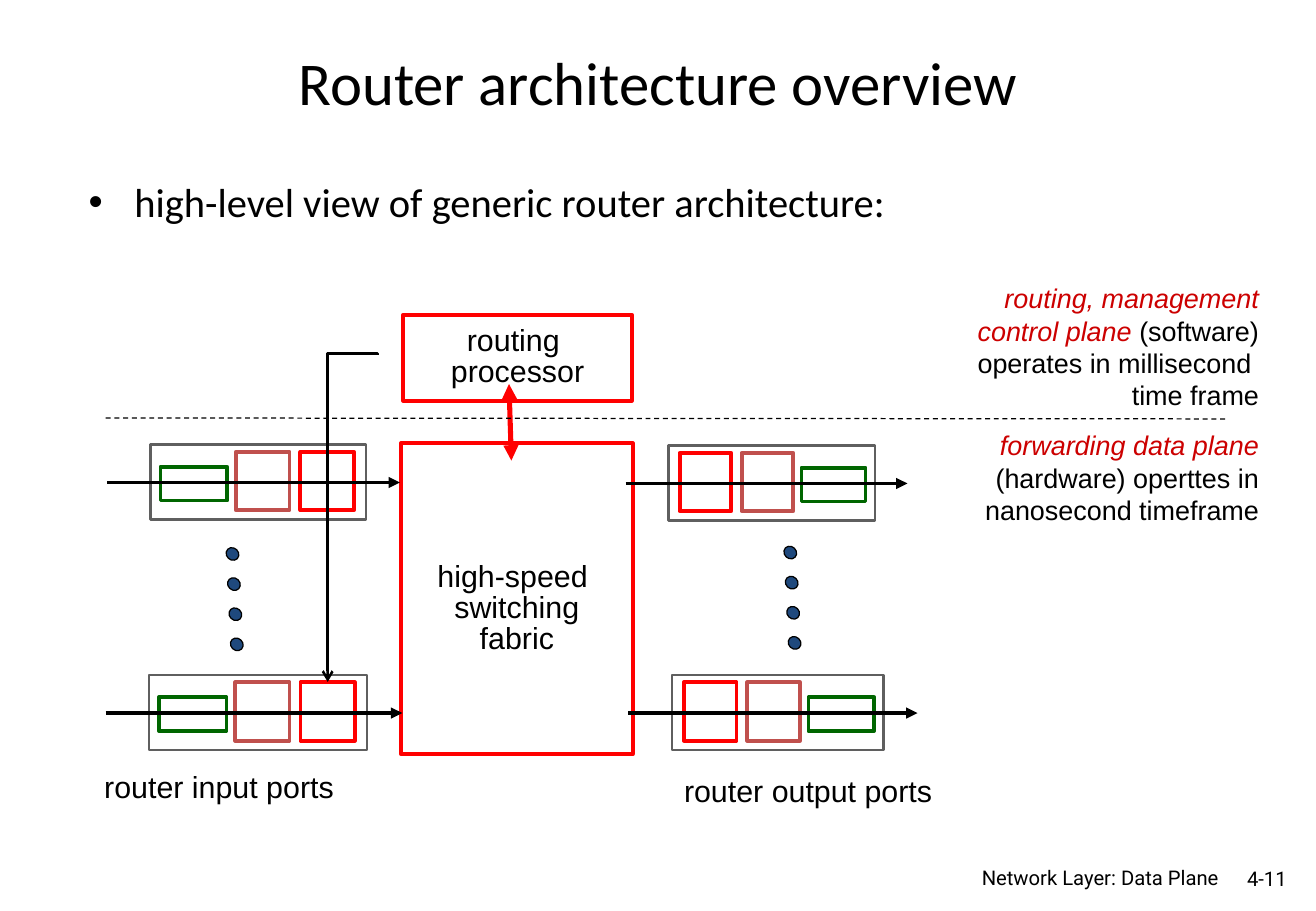
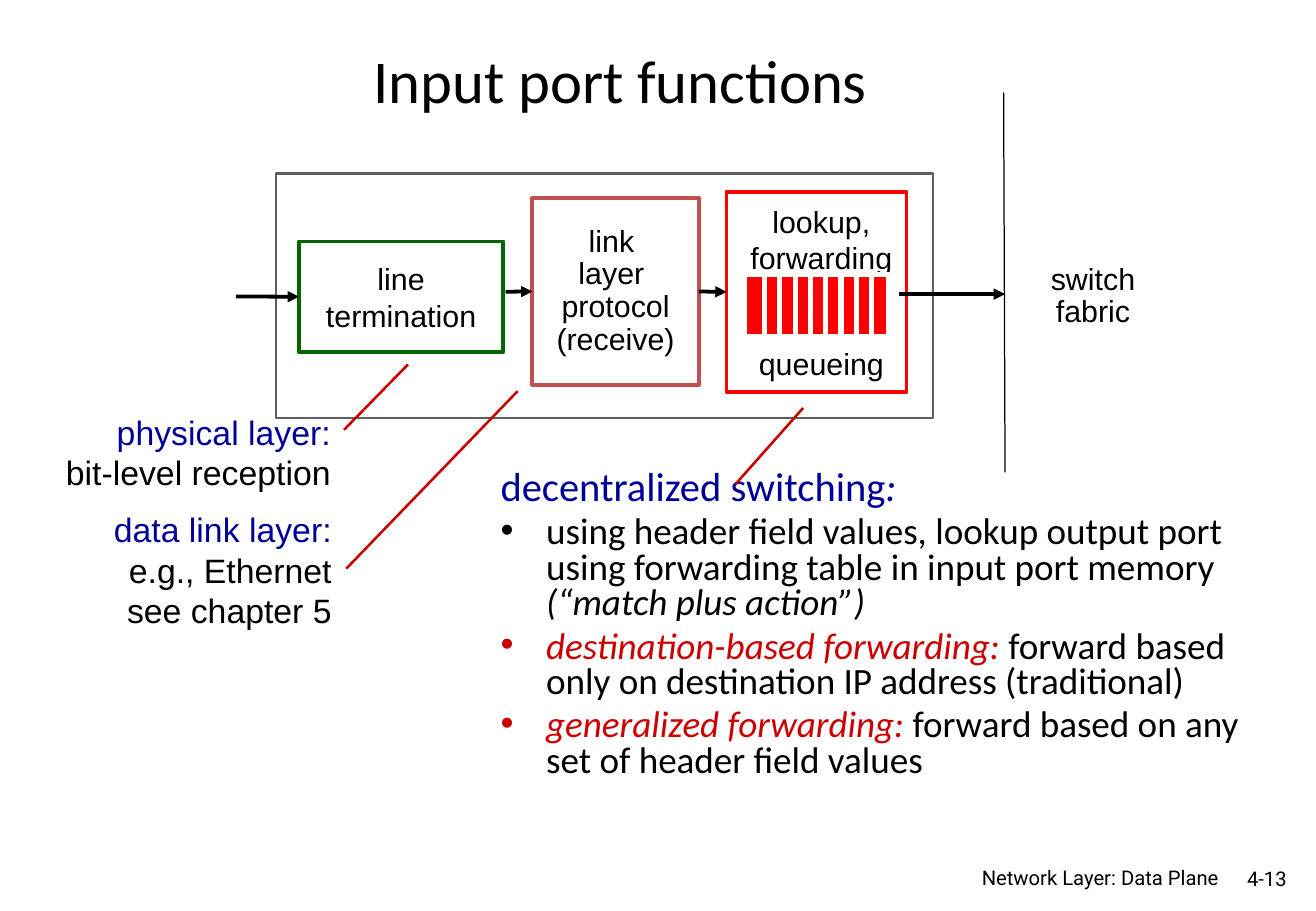
from lxml import etree
from pptx import Presentation
from pptx.dml.color import RGBColor
from pptx.enum.dml import MSO_LINE
from pptx.enum.shapes import MSO_CONNECTOR, MSO_SHAPE
from pptx.enum.text import MSO_ANCHOR, MSO_AUTO_SIZE, PP_ALIGN
from pptx.oxml.ns import qn
from pptx.util import Cm, Pt

RECT, OVAL = MSO_SHAPE.RECTANGLE, MSO_SHAPE.OVAL
STRAIGHT, ELBOW = MSO_CONNECTOR.STRAIGHT, MSO_CONNECTOR.ELBOW
LEFT, CENTER, RIGHT = PP_ALIGN.LEFT, PP_ALIGN.CENTER, PP_ALIGN.RIGHT
TOP, MIDDLE = MSO_ANCHOR.TOP, MSO_ANCHOR.MIDDLE
DASH, FIXED = MSO_LINE.DASH, MSO_AUTO_SIZE.NONE

BLACK = RGBColor(0x00, 0x00, 0x00)
WHITE = RGBColor(0xFF, 0xFF, 0xFF)
GRAY = RGBColor(0x5F, 0x5F, 0x5F)
GREEN = RGBColor(0x00, 0x66, 0x00)
BRICK = RGBColor(0xC0, 0x50, 0x4D)
RED = RGBColor(0xFF, 0x00, 0x00)
CRIMSON = RGBColor(0xCC, 0x00, 0x00)
NAVY = RGBColor(0x00, 0x00, 0x99)
BLUE = RGBColor(0x1F, 0x49, 0x7D)

SANS, BODY, FOOT = "Arial", "Calibri", "Roboto"

# Run styles: colour, italic
PLAIN, SLANT = (BLACK, False), (BLACK, True)
TERM, HEAD, HEAD_END = (CRIMSON, True), (NAVY, False), (NAVY, True)

FOOTER = "Network Layer: Data Plane"

# Slide 1: lengths in cm
VIEW = ["high-level view of generic router architecture:"]
CONTROL = [
    [("routing, management", TERM)],
    [("control plane ", TERM), ("(software)", PLAIN)],
    "operates in millisecond ",
    "time frame",
]
DATA = [[("forwarding data plane ", TERM),
         ("(hardware) operttes in nanosecond timeframe", PLAIN)]]
LABELS = [("router input ports", (1.93, 15.93, 5.36, 1.02)),
          ("router output ports", (14.05, 16.03, 5.74, 1.02))]
# left, top, width, arrow start, arrow end, mirrored
PORTS = [
    (3.15, 9.30, 4.50, 2.24, 8.36, False),
    (3.12, 14.12, 4.55, 2.21, 8.41, False),
    (13.97, 9.32, 4.32, 13.08, 18.97, True),
    (14.05, 14.12, 4.42, 13.13, 19.18, True),
]
# colour, offset and width as shares of the port, drop, height
STAGES = [(GREEN, 0.045, 0.31, 0.46, 0.71),
          (BRICK, 0.395, 0.25, 0.15, 1.22),
          (RED, 0.695, 0.25, 0.15, 1.22)]
DOTS = [(4.72, 11.46), (16.38, 11.43)]

# Slide 2
SWITCHING = [
    [("decentralized switching", HEAD), (":", HEAD_END)],
    [("using header field values, lookup output port using forwarding "
      "table in input port memory ", PLAIN),
     ("(“match plus action”)", SLANT)],
    [("destination-based forwarding: ", TERM),
     ("forward based only on destination IP address (traditional)", PLAIN)],
    [("generalized forwarding: ", TERM),
     ("forward based on any set of header field values", PLAIN)],
]
LAYERS = [
    ([[("physical layer:", HEAD)], "bit-level reception"],
     (1.07, 8.48, 6.10, 1.96)),
    ([[("data link layer:", HEAD)], "e.g., Ethernet", "see chapter 5"],
     (2.08, 10.52, 5.11, 2.82)),
]
POINTERS = [(7.19, 8.99, 8.53, 7.62), (7.24, 11.89, 10.82, 8.18),
            (15.37, 10.13, 16.79, 8.53)]


def cm(values):
    return [Cm(v) for v in values]


def write(shape, lines, size, font=SANS, align=LEFT, gap=None,
          wrap=False, anchor=TOP):
    """Fill a shape; a line is a string or a list of (text, style) runs."""
    frame = shape.text_frame
    frame.word_wrap = wrap
    frame.auto_size = FIXED
    frame.vertical_anchor = anchor
    for i, line in enumerate(lines):
        para = frame.paragraphs[0] if i == 0 else frame.add_paragraph()
        parts = [(line, PLAIN)] if isinstance(line, str) else line
        para.alignment = align
        if gap:
            para.line_spacing = gap
        if i == 0:
            para.space_before = Pt(0)
        for text, (color, slant) in parts:
            run = para.add_run()
            run.text = text
            run.font.size = Pt(size)
            run.font.name = font
            run.font.color.rgb = color
            run.font.italic = slant


def label(slide, at, lines, size, **style):
    box = slide.shapes.add_textbox(*cm(at))
    write(box, lines, size, **style)


def block(slide, at, line, width=2.25, fill=WHITE, kind=RECT):
    shape = slide.shapes.add_shape(kind, *cm(at))
    shape.shadow.inherit = False
    shape.fill.solid()
    shape.fill.fore_color.rgb = fill
    shape.line.color.rgb = line
    shape.line.width = Pt(width)
    return shape


def link(slide, ends, color=BLACK, width=2.25, head=None, tail=None,
         dash=None, kind=STRAIGHT):
    """Draw a connector, with arrowheads at its start and end if named."""
    wire = slide.shapes.add_connector(kind, *cm(ends))
    wire.line.color.rgb = color
    wire.line.width = Pt(width)
    if dash:
        wire.line.dash_style = dash
    props = wire._element.spPr
    for tag, tip in (("a:headEnd", head), ("a:tailEnd", tail)):
        if tip:
            etree.SubElement(props.find(qn("a:ln")), qn(tag), type=tip)
    etree.SubElement(props, qn("a:effectLst"))
    return wire


def start(deck, title, spot, number, lines, at, size, gap=None):
    """Add a slide with its title, list and footer."""
    slide = deck.slides.add_slide(deck.slide_layouts[1])
    head, body = slide.shapes.title, slide.placeholders[1]
    for shape, place in ((head, (*spot, 23.39, 1.70)), (body, at)):
        shape.left, shape.top, shape.width, shape.height = cm(place)
    write(head, [title], 36, BODY, CENTER, wrap=True, anchor=MIDDLE)
    write(body, lines, size, BODY, gap=gap, wrap=True)
    label(slide, (19.18, 17.98, 6.55, 0.66), [FOOTER], 12,
          font=FOOT, align=RIGHT, wrap=True)
    label(slide, (25.45, 17.98, 1.70, 0.76), [number], 12,
          font=FOOT, align=RIGHT, wrap=True, anchor=MIDDLE)
    return slide


def port(slide, left, top, width, begin, end, mirror):
    block(slide, (left, top, width, 1.57), GRAY, 1.5)
    for color, shift, share, drop, height in STAGES:
        if mirror:
            shift = 1 - shift - share
        block(slide, (left + shift * width, top + drop,
                      share * width, height), color)
    y = top + 0.79
    link(slide, (begin, y, end, y), tail="triangle")


def router(deck):
    slide = start(deck, "Router architecture overview", (2.06, 0.84), "4-11",
                  VIEW, (1.60, 3.58, 23.39, 1.63), 24)
    fabric = block(slide, (8.38, 9.27, 4.85, 6.50), RED)
    write(fabric, ["high-speed ", "switching", "fabric"], 18,
          align=CENTER, gap=0.85, anchor=MIDDLE)
    fabric.text_frame.margin_top = Cm(0.56)
    chip = block(slide, (8.43, 6.58, 4.78, 1.80), RED)
    write(chip, ["routing ", "processor"], 18,
          align=CENTER, gap=0.85, anchor=MIDDLE)
    link(slide, (10.64, 8.03, 10.69, 9.63), RED, 3, "triangle", "triangle")
    for spec in PORTS:
        port(slide, *spec)
    for x, y in DOTS:
        for i in range(4):
            dot = block(slide, (x + 0.03 * i, y + 0.63 * i, 0.28, 0.25),
                        BLACK, 0.75, BLUE, OVAL)
            dot.rotation = 44.3
    for text, at in LABELS:
        label(slide, at, [text], 18)
    link(slide, (2.21, 8.74, 25.68, 8.76), width=0.75, dash=DASH)
    label(slide, (19.99, 8.84, 6.58, 2.31), DATA, 16, align=RIGHT, wrap=True)
    label(slide, (17.91, 5.77, 8.66, 3.00), CONTROL, 16,
          align=RIGHT, wrap=True)

    # A quarter turn makes the elbow run left, then down
    elbow = link(slide, (3.94, 10.31, 10.80, 11.35), width=1.5,
                 tail="arrow", kind=ELBOW)
    props = elbow._element.spPr
    props.find(qn("a:xfrm")).set("rot", "5400000")
    guides = props.find(qn("a:prstGeom")).find(qn("a:avLst"))
    etree.SubElement(guides, qn("a:gd"), name="adj1", fmla="val -100")


def queue(slide, left, top, width, height):
    block(slide, (left, top, width, height), WHITE, 3, RED)
    for i in range(8):
        x = left + 0.41 + 0.32 * i
        link(slide, (x, top, x, top + height), WHITE, 3)


def input_port(deck):
    slide = start(deck, "Input port functions", (1.27, 0.81), "4-13",
                  SWITCHING, (10.21, 9.70, 16.41, 7.42), 22, 0.8)
    first = slide.placeholders[1].text_frame.paragraphs[0]
    etree.SubElement(first._p.get_or_add_pPr(), qn("a:buNone"))
    for run in first.runs:
        run.font.size = Pt(24)

    block(slide, (5.77, 3.63, 13.74, 5.11), GRAY, 1.5)
    line = block(slide, (6.25, 5.05, 4.27, 2.31), GREEN)
    write(line, ["line", "termination"], 18, align=CENTER, anchor=MIDDLE)
    layer = block(slide, (11.13, 4.14, 3.48, 3.91), BRICK)
    write(layer, ["link ", "layer ", "protocol", "(receive)"], 18,
          align=CENTER, gap=0.9, anchor=MIDDLE)
    lookup = block(slide, (15.19, 4.01, 3.76, 4.19), RED)
    write(lookup, ["lookup,", "forwarding", "queueing"], 18,
          align=CENTER, anchor=MIDDLE)
    lookup.text_frame.margin_left = Cm(0.45)
    lookup.text_frame.paragraphs[2].space_before = Pt(41)

    for ends, source, target in (
            ((4.93, 6.20, 6.25, 6.20), None, line),
            ((10.57, 6.10, 11.13, 6.10), None, layer),
            ((14.61, 6.10, 15.19, 6.10), layer, lookup),
            ((18.80, 6.15, 21.01, 6.15), None, None)):
        wire = link(slide, ends, tail="triangle")
        if source:
            wire.begin_connect(source, 3)
        if target:
            wire.end_connect(target, 1)

    for lines, at in LAYERS:
        label(slide, at, lines, 20, align=RIGHT)
    link(slide, (20.98, 1.93, 21.01, 9.88), width=0.75)
    label(slide, (21.26, 5.05, 3.18, 2.31), ["switch", "fabric"], 18,
          align=CENTER, gap=0.9, anchor=MIDDLE)
    queue(slide, 15.57, 5.74, 3.00, 1.30)
    for ends in POINTERS:
        link(slide, ends, CRIMSON, 1.5)


def main():
    deck = Presentation()
    deck.slide_width, deck.slide_height = Cm(27.51), Cm(19.05)
    router(deck)
    input_port(deck)
    deck.save("out.pptx")


if __name__ == "__main__":
    main()
